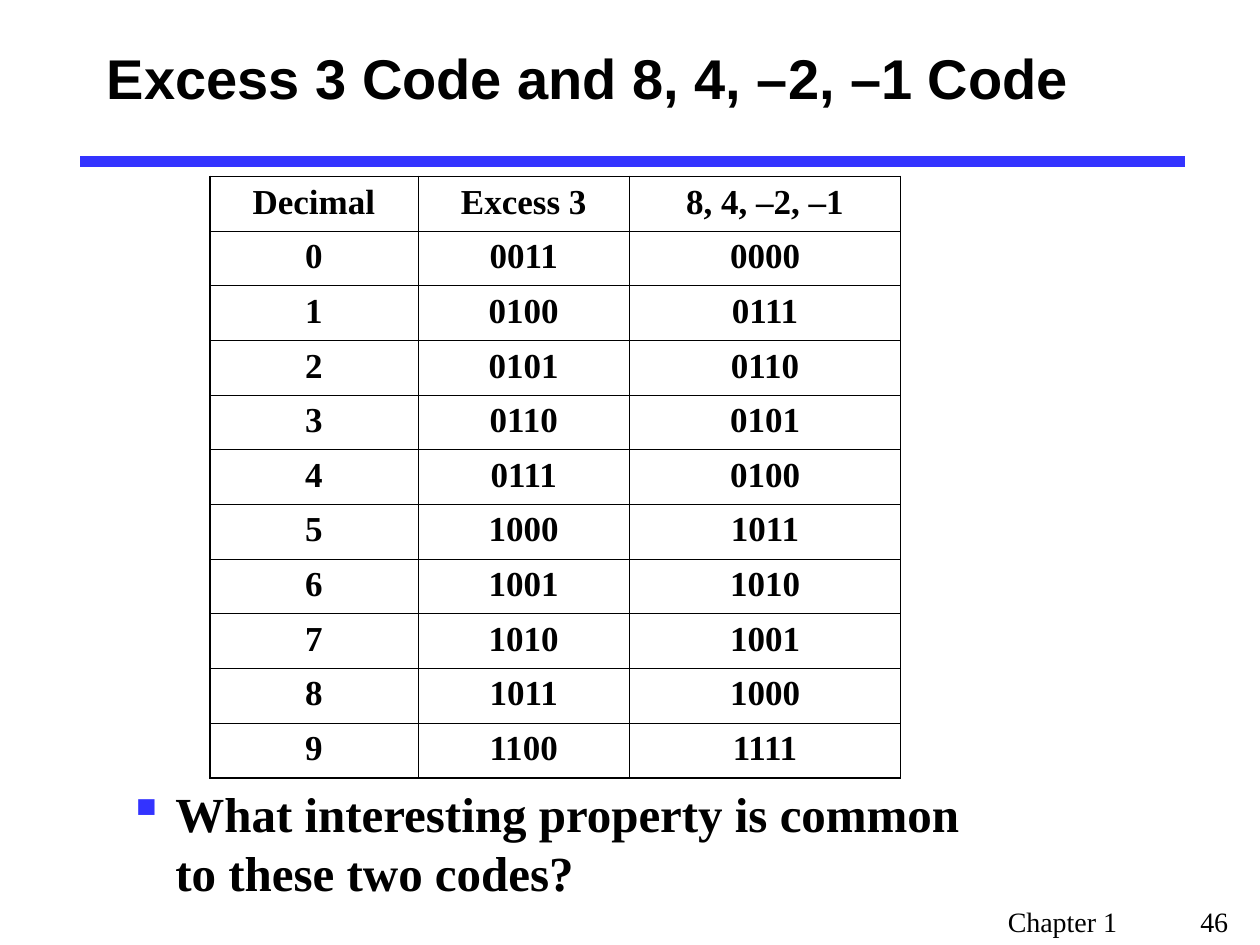
from lxml import etree
from pptx import Presentation
from pptx.dml.color import RGBColor
from pptx.enum.shapes import MSO_CONNECTOR
from pptx.enum.text import MSO_ANCHOR, PP_ALIGN
from pptx.oxml.ns import qn
from pptx.util import Pt

LEFT, CENTER = PP_ALIGN.LEFT, PP_ALIGN.CENTER
TOP, MIDDLE = MSO_ANCHOR.TOP, MSO_ANCHOR.MIDDLE
STRAIGHT = MSO_CONNECTOR.STRAIGHT
BLACK, BLUE = "000000", "3333FF"
SERIF, SANS = "Times New Roman", "Arial"

TITLE = "Excess 3 Code and 8, 4, –2, –1 Code"
QUESTION = "What interesting property is common to these two codes?"
FOOTER = "Chapter 1\t46"
HEADER = ("Decimal", "Excess 3", "8, 4, –2, –1")
CODES = [
    ("0011", "0000"),
    ("0100", "0111"),
    ("0101", "0110"),
    ("0110", "0101"),
    ("0111", "0100"),
    ("1000", "1011"),
    ("1001", "1010"),
    ("1010", "1001"),
    ("1011", "1000"),
    ("1100", "1111"),
]
ROWS = [HEADER] + [(str(n), *pair) for n, pair in enumerate(CODES)]
COL_WIDTHS = (118.8, 121, 154.8)
ROW_HEIGHT = 31.25
TABLE_LEFT, TABLE_TOP = 120, 100.8
OUTER, INNER = 1.08, 0.45


def rgb(value):
    return RGBColor.from_string(value)


def add_text(tf, text, size, font=SERIF, bold=False, align=LEFT):
    p = tf.paragraphs[0]
    p.alignment = align
    r = p.add_run()
    r.text = text
    r.font.size = Pt(size)
    r.font.name = font
    r.font.bold = bold
    r.font.color.rgb = rgb(BLACK)
    return p


def add_box(s, left, top, width, height, anchor=TOP):
    sp = s.shapes.add_textbox(Pt(left), Pt(top), Pt(width), Pt(height))
    tf = sp.text_frame
    tf.word_wrap = True
    tf.vertical_anchor = anchor
    return tf


def add_bullet(p, char, color, indent):
    pPr = p._p.get_or_add_pPr()
    pPr.set("marL", str(Pt(indent)))
    pPr.set("indent", str(-Pt(indent)))
    clr = etree.SubElement(pPr, qn("a:buClr"))
    etree.SubElement(clr, qn("a:srgbClr"), val=color)
    etree.SubElement(pPr, qn("a:buChar"), char=char)


def add_tab(p, pos):
    tabs = etree.SubElement(p._p.get_or_add_pPr(), qn("a:tabLst"))
    etree.SubElement(tabs, qn("a:tab"), pos=str(Pt(pos)), algn="l")


def set_borders(cell, widths):
    tcPr = cell._tc.get_or_add_tcPr()
    for i, (side, width) in enumerate(widths.items()):
        ln = etree.Element(qn(f"a:ln{side}"), w=str(Pt(width)))
        fill = etree.SubElement(ln, qn("a:solidFill"))
        etree.SubElement(fill, qn("a:srgbClr"), val=BLACK)
        tcPr.insert(i, ln)


def add_code_table(s):
    n_rows, n_cols = len(ROWS), len(HEADER)
    frame = s.shapes.add_table(n_rows, n_cols, Pt(TABLE_LEFT), Pt(TABLE_TOP),
                               Pt(sum(COL_WIDTHS)), Pt(ROW_HEIGHT * n_rows))
    table = frame.table
    table.first_row = table.horz_banding = False
    for col, width in zip(table.columns, COL_WIDTHS):
        col.width = Pt(width)
    for i, row in enumerate(ROWS):
        table.rows[i].height = Pt(ROW_HEIGHT)
        for j, text in enumerate(row):
            cell = table.cell(i, j)
            cell.fill.background()
            add_text(cell.text_frame, text, 20, bold=True, align=CENTER)
            edges = {"L": j == 0, "R": j == n_cols - 1,
                     "T": i == 0, "B": i == n_rows - 1}
            set_borders(cell, {side: OUTER if edge else INNER
                               for side, edge in edges.items()})


def main():
    prs = Presentation()
    prs.slide_width, prs.slide_height = Pt(720), Pt(540)
    s = prs.slides.add_slide(prs.slide_layouts[6])

    rule = s.shapes.add_connector(STRAIGHT, Pt(46), Pt(92.2), Pt(677), Pt(92.2))
    rule.line.color.rgb = rgb(BLUE)
    rule.line.width = Pt(6)
    etree.SubElement(rule._element.spPr, qn("a:effectLst"))

    p = add_text(add_box(s, 568.8, 513.4, 151.2, 26.6), FOOTER, 16)
    add_tab(p, 110)

    p = add_text(add_box(s, 66.2, 444.2, 491.8, 74), QUESTION, 28, bold=True)
    add_bullet(p, "▪", BLUE, 27)

    add_text(add_box(s, 54, 0, 614, 88.6, MIDDLE), TITLE, 32, SANS, bold=True)
    add_code_table(s)
    prs.save("out.pptx")


if __name__ == "__main__":
    main()
